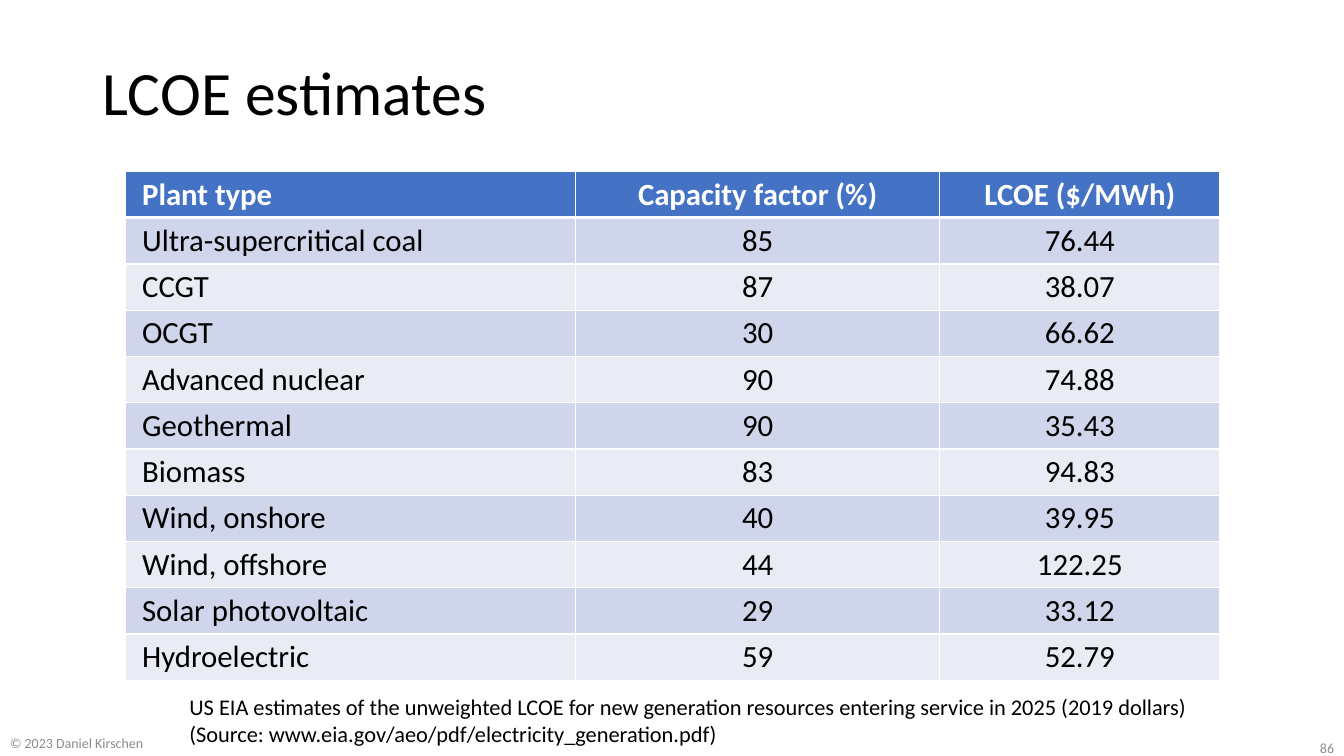
from lxml.etree import SubElement
from pptx import Presentation
from pptx.dml.color import RGBColor
from pptx.enum.text import MSO_ANCHOR, PP_ALIGN
from pptx.oxml.ns import qn
from pptx.util import Inches, Pt

TITLE = "LCOE estimates"
HEAD = ("Plant type", "Capacity factor (%)", "LCOE ($/MWh)")
PLANTS = [
    ("Ultra-supercritical coal", "85", "76.44"),
    ("CCGT", "87", "38.07"),
    ("OCGT", "30", "66.62"),
    ("Advanced nuclear", "90", "74.88"),
    ("Geothermal", "90", "35.43"),
    ("Biomass", "83", "94.83"),
    ("Wind, onshore", "40", "39.95"),
    ("Wind, offshore", "44", "122.25"),
    ("Solar photovoltaic", "29", "33.12"),
    ("Hydroelectric", "59", "52.79"),
]
NOTE = [
    "US EIA estimates of the unweighted LCOE for new generation resources "
    "entering service in 2025 (2019 dollars)",
    "(Source: www.eia.gov/aeo/pdf/electricity_generation.pdf)",
]
RIGHTS = "© 2023 Daniel Kirschen"
PAGE = "86"

FONT = "Calibri"
BLACK = RGBColor(0x00, 0x00, 0x00)
WHITE = RGBColor(0xFF, 0xFF, 0xFF)
GRAY = RGBColor(0x8C, 0x8C, 0x8C)
BLUE = RGBColor(0x44, 0x72, 0xC4)
BANDS = (RGBColor(0xCF, 0xD5, 0xEA), RGBColor(0xE9, 0xEB, 0xF5))

WIDTHS = (4.47, 3.61, 2.78)
LEFT, TOP, HIGH = 1.24, 1.7, 5.05


def write(frame, lines, size=16, color=BLACK, bold=False,
          align=PP_ALIGN.LEFT, space=None, after=0):
    frame.word_wrap = True
    for i, line in enumerate(lines):
        para = frame.paragraphs[0] if i == 0 else frame.add_paragraph()
        para.alignment = align
        para.line_spacing = space
        para.space_after = Pt(after)
        run = para.add_run()
        run.text = line
        run.font.name = FONT
        run.font.size = Pt(size)
        run.font.bold = bold
        run.font.color.rgb = color


def place(slide, lines, spot, anchor=MSO_ANCHOR.MIDDLE, **style):
    box = slide.shapes.add_textbox(*(Inches(n) for n in spot))
    box.text_frame.vertical_anchor = anchor
    write(box.text_frame, lines, **style)


def edge(cell, sides):
    props = cell._tc.get_or_add_tcPr()
    for side, width in sides.items():
        line = SubElement(props, qn("a:ln" + side), w=str(Pt(width)))
        fill = SubElement(line, qn("a:solidFill"))
        SubElement(fill, qn("a:srgbClr"), val=str(WHITE))


def draw_table(slide):
    rows = [HEAD] + PLANTS
    frame = slide.shapes.add_table(
        len(rows), len(HEAD), Inches(LEFT), Inches(TOP),
        Inches(sum(WIDTHS)), Inches(HIGH))
    table = frame.table
    for col, width in zip(table.columns, WIDTHS):
        col.width = Inches(width)
    for r, row in enumerate(rows):
        table.rows[r].height = Inches(HIGH / len(rows))
        head = r == 0
        for c, text in enumerate(row):
            cell = table.cell(r, c)
            edge(cell, {"L": 1, "R": 1, "T": 3 if r == 1 else 1,
                        "B": 3 if head else 1})
            cell.fill.solid()
            cell.fill.fore_color.rgb = BLUE if head else BANDS[(r - 1) % 2]
            cell.vertical_anchor = MSO_ANCHOR.MIDDLE
            cell.margin_left = cell.margin_right = Inches(0.17)
            cell.margin_top = cell.margin_bottom = 0
            write(cell.text_frame, [text], size=22, bold=head,
                  color=WHITE if head else BLACK,
                  align=PP_ALIGN.CENTER if c else PP_ALIGN.LEFT)


def main():
    deck = Presentation()
    deck.slide_width, deck.slide_height = Inches(13.33), Inches(7.5)
    slide = deck.slides.add_slide(deck.slide_layouts[6])
    place(slide, [TITLE], (0.92, 0.4, 11.5, 1.1), size=44, space=0.9)
    place(slide, [RIGHTS], (0, 7.21, 3.44, 0.33), size=10, color=GRAY, after=6)
    place(slide, [PAGE], (10.33, 7.26, 3, 0.31), size=10, color=GRAY,
          align=PP_ALIGN.RIGHT, after=6)
    draw_table(slide)
    place(slide, NOTE, (1.78, 6.83, 11.41, 0.64), anchor=MSO_ANCHOR.TOP)
    deck.save("out.pptx")


if __name__ == "__main__":
    main()
